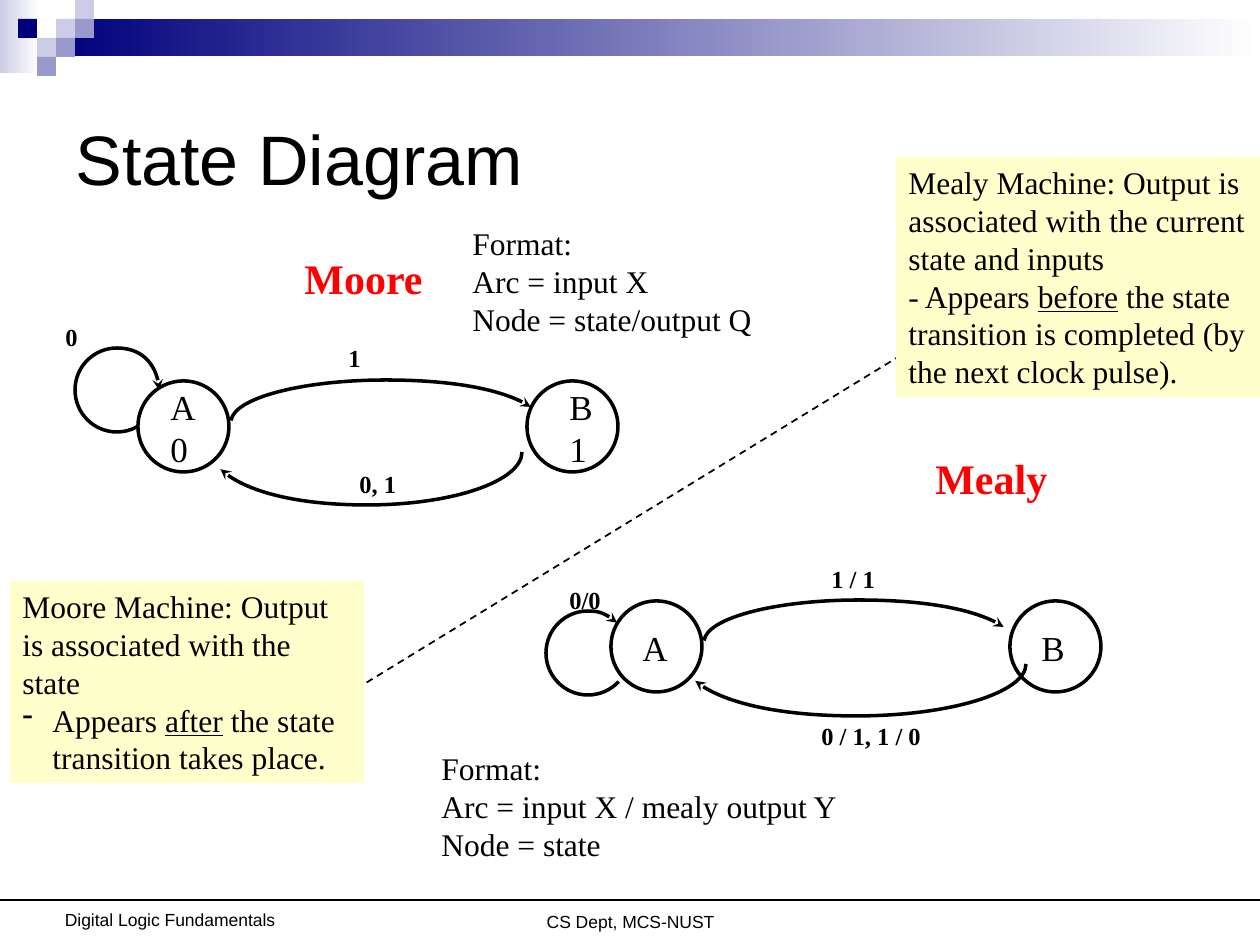
from math import cos, radians, sin, tan

from pptx import Presentation
from pptx import util as u
from pptx.dml.color import RGBColor
from pptx.enum import dml, shapes, text
from pptx.oxml.ns import qn
from lxml import etree

PX = 914400 / 126
BLACK = RGBColor(0, 0, 0)
RED = RGBColor(0xFF, 0, 0)
WHITE = RGBColor(0xFF, 0xFF, 0xFF)
NAVY = RGBColor(0, 0, 0x7D)
LILAC = RGBColor(0xCC, 0xCC, 0xE6)
VIOLET = RGBColor(0x99, 0x99, 0xCC)
CREAM = RGBColor(0xFF, 0xFF, 0xCC)
SERIF, SANS = "Times New Roman", "Arial"
NODE = 91  # diameter of a state


def px(n):
    return u.Emu(round(n * PX))


def add_text(s, x, y, w, h, lines, size=18, font=SERIF, color=BLACK,
             bold=False, align=text.PP_ALIGN.LEFT, fill=None, bullets=()):
    """Text box; words between underscores are underlined."""
    sp = s.shapes.add_textbox(px(x), px(y), px(w), px(h))
    if fill is not None:
        sp.fill.solid()
        sp.fill.fore_color.rgb = fill
    tf = sp.text_frame
    tf.word_wrap = True
    for i, line in enumerate(lines):
        p = tf.paragraphs[0] if i == 0 else tf.add_paragraph()
        p.alignment = align
        if i in bullets:
            pPr = p._p.get_or_add_pPr()
            pPr.set("marL", str(px(30)))
            pPr.set("indent", str(px(-30)))
            etree.SubElement(pPr, qn("a:buChar")).set("char", "-")
        for j, part in enumerate(line.split("_")):
            r = p.add_run()
            r.text = part
            f = r.font
            f.size, f.name, f.bold = u.Pt(size), font, bold
            f.color.rgb = color
            if j % 2:
                f.underline = True
    return sp


def add_rect(s, x, y, w, h, color, fade=False):
    sp = s.shapes.add_shape(shapes.MSO_SHAPE.RECTANGLE, px(x), px(y), px(w), px(h))
    sp.shadow.inherit = False
    sp.line.fill.background()
    if fade:
        sp.fill.gradient()
        sp.fill.gradient_angle = 0
        for stop, c in zip(sp.fill.gradient_stops, (color, WHITE)):
            stop.color.rgb = c
    else:
        sp.fill.solid()
        sp.fill.fore_color.rgb = color


def outline(sp):
    sp.shadow.inherit = False
    sp.fill.background()
    sp.line.color.rgb = BLACK
    sp.line.width = u.Pt(2)


def add_arc(s, cx, cy, rx, ry, start, end):
    """Arrow along an ellipse, clockwise from start to end in degrees."""
    def point(a, k=0):
        # k moves the point along the tangent at a
        a = radians(a)
        return (px(cx + rx * (cos(a) - k * sin(a))),
                px(cy + ry * (sin(a) + k * cos(a))))

    stops = [start, *(q for q in (90, 180, 270) if start < q < end), end]
    fb = s.shapes.build_freeform(*point(start))
    for a, b in zip(stops, stops[1:]):
        k = 4 / 3 * tan(radians(b - a) / 4)
        fb.add_line_segments([point(a, k), point(b, -k), point(b)], close=False)
    sp = fb.convert_to_shape()
    # turn each three line segments into one Bezier curve
    segments = list(sp._element.iter(qn("a:lnTo")))
    for i in range(0, len(segments), 3):
        curve = etree.Element(qn("a:cubicBezTo"))
        segments[i].addprevious(curve)
        for seg in segments[i:i + 3]:
            curve.append(seg[0])
            seg.getparent().remove(seg)
    outline(sp)
    etree.SubElement(sp.line._get_or_add_ln(), qn("a:tailEnd")).set("type", "stealth")


def add_line(s, x1, y1, x2, y2, width, dash=None):
    c = s.shapes.add_connector(shapes.MSO_CONNECTOR.STRAIGHT,
                               px(x1), px(y1), px(x2), px(y2))
    c.line.color.rgb = BLACK
    c.line.width = u.Pt(width)
    if dash:
        c.line.dash_style = dash
    etree.SubElement(c._element.spPr, qn("a:effectLst"))


def banner(s, x, y):
    add_rect(s, x, y, 39, 73, LILAC, fade=True)
    add_rect(s, x + 57, y + 19, 1203, 37, NAVY, fade=True)
    # checker squares as (column, row) on a 19 px grid
    for col, row, color in ((3, 1, LILAC), (4, 0, LILAC), (4, 1, VIOLET),
                            (2, 2, LILAC), (1, 1, NAVY), (3, 2, VIOLET),
                            (2, 3, VIOLET)):
        add_rect(s, x + 19 * col - 1, y + 19 * row, 19, 19, color)


def state_machine(s, x, y, gap, states, back, loop, labels):
    """Two states; gap is B's offset from A, back and loop are arcs."""
    for dx, names in zip((0, gap), states):
        sp = s.shapes.add_shape(shapes.MSO_SHAPE.OVAL, px(x + dx), px(y),
                                px(NODE), px(NODE))
        outline(sp)
        for name, nx, ny in names:
            add_text(s, x + dx + nx, y + ny, 42, 54, [name], size=20)
    for cx, cy, *arc in ((248, 41, 155, 42, 182, 339), back, loop):
        add_arc(s, x + cx, y + cy, *arc)
    for label, lx, ly, lw in labels:
        add_text(s, x + lx, y + ly, lw, 42, [label], size=14, bold=True)


def footer(s, x, y, w):
    add_line(s, x, y, x + w, y, 0.75)
    for label, lx, ly, lw in (("Digital Logic Fundamentals", 44, 3, 252),
                              ("CS Dept, MCS-NUST", 368, 5, 525)):
        add_text(s, x + lx, y + ly, lw, 34, [label], size=10, font=SANS,
                 align=text.PP_ALIGN.CENTER)


def title(s, x, y, w, h, words):
    sp = s.shapes.title
    sp.left, sp.top, sp.width, sp.height = px(x), px(y), px(w), px(h)
    tf = sp.text_frame
    tf.text = words
    tf.auto_size = text.MSO_AUTO_SIZE.NONE
    tf.vertical_anchor = text.MSO_ANCHOR.MIDDLE
    p = tf.paragraphs[0]
    p.alignment = text.PP_ALIGN.LEFT
    f = p.runs[0].font
    f.size, f.name = u.Pt(40), SANS
    f.color.rgb = BLACK


def main():
    prs = Presentation()
    prs.slide_width, prs.slide_height = u.Inches(10), u.Inches(7.5)
    s = prs.slides.add_slide(prs.slide_layouts[5])
    banner(s, 0, 0)
    footer(s, 0, 900, 1260)
    title(s, 63, 63, 1134, 189, "State Diagram")

    # Moore machine
    state_machine(s, 138, 381, 389,
                  ((("A", 20, -2), ("0", 20, 40)), (("B", 30, -2), ("1", 30, 40))),
                  (229, 71, 155, 53, 0, 161), (-21, 9, 42, 42, 62, 360),
                  (("1", 198, -44, 116), ("0, 1", 209, 82, 63), ("0", -85, -65, 42)))
    add_text(s, 292, 246, 145, 63, ["Moore"], size=24, color=RED, bold=True)
    add_text(s, 460, 218, 306, 126,
             ["Format:", "Arc = input X", "Node = state/output Q"])

    # Mealy machine
    state_machine(s, 611, 601, 399,
                  ((("A", 19, 19),), (("B", 19, 19),)),
                  (245, 63, 170, 52, 0, 161), (-23, 52, 42, 42, 43, 314),
                  (("1 / 1", 208, -43, 116), ("0 / 1, 1 / 0", 198, 114, 126),
                   ("0/0", -54, -22, 105)))
    add_text(s, 923, 446, 138, 63, ["Mealy"], size=24, color=RED, bold=True)
    add_text(s, 429, 743, 422, 126,
             ["Format:", "Arc = input X / mealy output Y", "Node = state"])

    # Divider and notes
    add_line(s, 263, 746, 965, 316, 1, dml.MSO_LINE.DASH)
    add_text(s, 10, 581, 354, 202,
             ["Moore Machine: Output is associated with the state",
              "Appears _after_ the state transition takes place."],
             fill=CREAM, bullets=(1,))
    add_text(s, 896, 157, 364, 240,
             ["Mealy Machine: Output is associated with the current state and inputs",
              "- Appears _before_ the state transition is completed "
              "(by the next clock pulse)."], fill=CREAM)
    prs.save("out.pptx")


if __name__ == "__main__":
    main()
